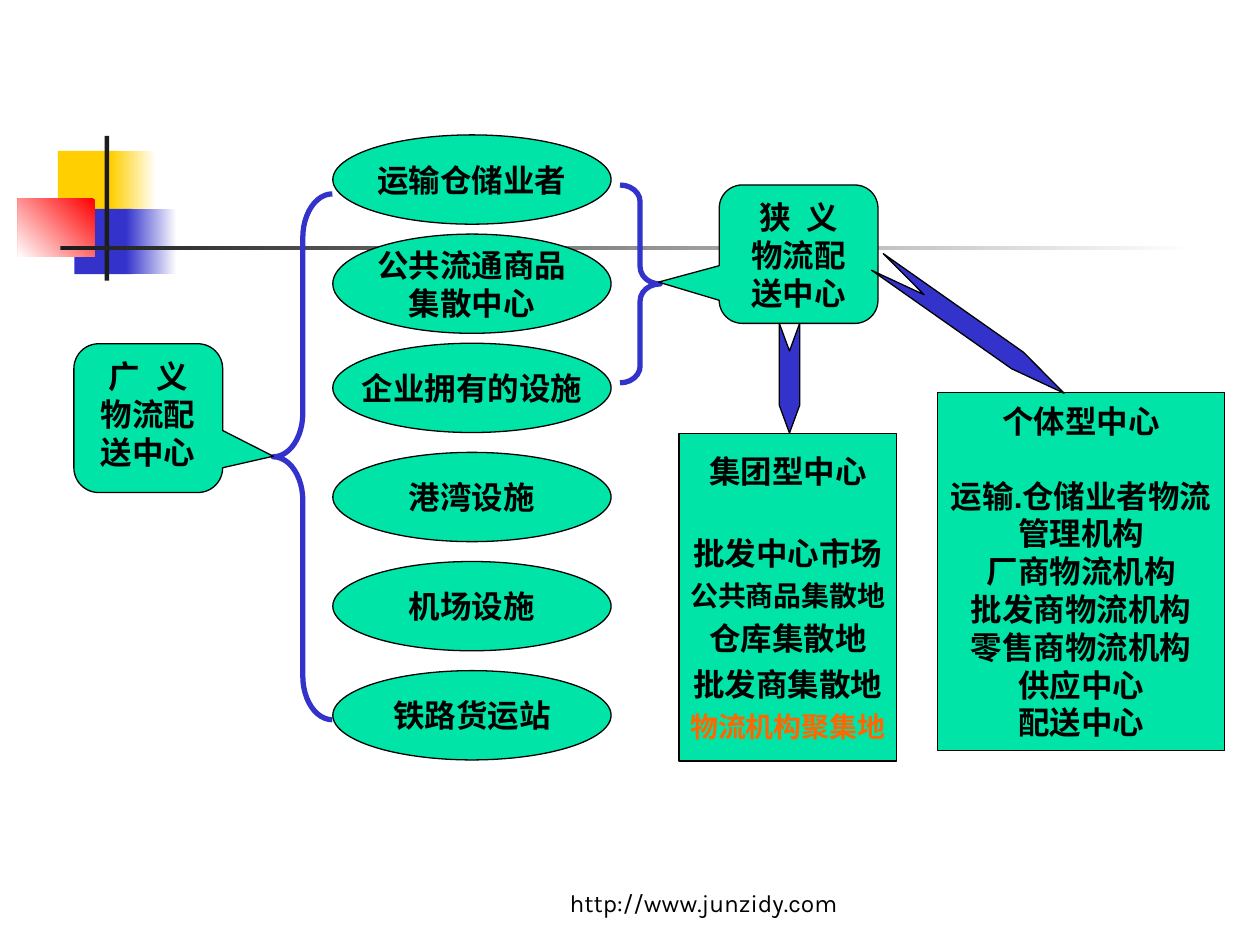
from dataclasses import dataclass

from pptx import Presentation
from pptx.dml.color import RGBColor
from pptx.enum.shapes import MSO_SHAPE
from pptx.enum.text import MSO_ANCHOR, PP_ALIGN
from pptx.util import Cm, Pt


@dataclass(frozen=True)
class Theme:
    mint: str = "00E4A8"
    indigo: str = "3333CC"
    yellow: str = "FFCF01"
    red: str = "FF0000"
    charcoal: str = "1C1C1C"
    orange: str = "FF6600"
    black: str = "000000"
    white: str = "FFFFFF"
    font: str = "Arial"
    footer_font: str = "Karla"
    body: int = 18
    small: int = 16
    footer: int = 14
    outline: float = 0.75
    brace: int = 3
    heading_gap: int = 21


@dataclass(frozen=True)
class Box:
    """Position and size in centimetres."""
    left: float
    top: float
    width: float
    height: float

    def inner(self, dx, dy, width, height):
        return Box(self.left + dx, self.top + dy, width, height)

    def lengths(self):
        return [Cm(v) for v in (self.left, self.top, self.width, self.height)]


THEME = Theme()


def rgb(color):
    return RGBColor.from_string(color)


def add_part(slide, preset, box, fill=None, line=None, line_width=THEME.outline,
             adjust=(), rotation=0):
    part = slide.shapes.add_shape(preset, *box.lengths())
    part.shadow.inherit = False
    part.rotation = rotation
    for index, value in enumerate(adjust):
        part.adjustments[index] = value
    if fill:
        part.fill.solid()
        part.fill.fore_color.rgb = rgb(fill)
    else:
        part.fill.background()
    if line:
        part.line.color.rgb = rgb(line)
        part.line.width = Pt(line_width)
    else:
        part.line.fill.background()
    return part


def add_fade(slide, box, start, end, angle=0):
    fade = add_part(slide, MSO_SHAPE.RECTANGLE, box)
    fade.fill.gradient()
    fade.fill.gradient_angle = angle
    for stop, color in zip(fade.fill.gradient_stops, (start, end)):
        stop.color.rgb = rgb(color)


def write_lines(part, lines, wrap=False, anchor=MSO_ANCHOR.MIDDLE):
    """Fill a part with centred lines, each a (text, format values) pair."""
    frame = part.text_frame
    frame.word_wrap = wrap
    frame.vertical_anchor = anchor
    for index, (text, values) in enumerate(lines):
        paragraph = frame.paragraphs[0] if index == 0 else frame.add_paragraph()
        paragraph.alignment = PP_ALIGN.CENTER
        for name in ("line_spacing", "space_before"):
            if name in values:
                setattr(paragraph, name, values[name])
        run = paragraph.add_run()
        run.text = text
        font_format = {
            "name": values.get("font", THEME.font),
            "size": Pt(values.get("size", THEME.body)),
            "bold": values.get("bold", True),
        }
        for name, value in font_format.items():
            setattr(run.font, name, value)
        run.font.color.rgb = rgb(values.get("color", THEME.black))
        if "tracking" in values:
            run._r.get_or_add_rPr().set("spc", str(values["tracking"]))


def add_ornament(slide, box):
    """Coloured squares with a crossing bar and a fading rule."""
    t = THEME
    add_part(slide, MSO_SHAPE.RECTANGLE, box.inner(0.81, 0.3, 1.22, 1.32), t.yellow)
    add_fade(slide, box.inner(1.88, 0.3, 0.91, 1.32), t.yellow, t.white)
    add_part(slide, MSO_SHAPE.RECTANGLE, box.inner(1.14, 1.47, 1.17, 1.32), t.indigo)
    add_fade(slide, box.inner(2.18, 1.47, 1.02, 1.32), t.indigo, t.white)
    add_fade(slide, box.inner(0, 1.27, 1.55, 1.17), t.red, t.white, 225)
    add_part(slide, MSO_SHAPE.RECTANGLE, box.inner(1.75, 0, 0.09, box.height), t.charcoal)
    add_fade(slide, box.inner(0.86, 2.21, box.width - 0.86, 0.1), t.charcoal, t.white)


def add_definition(slide, box, scope, pointer):
    callout = add_part(slide, MSO_SHAPE.ROUNDED_RECTANGULAR_CALLOUT, box,
                       THEME.mint, THEME.black, adjust=(*pointer, 0.167))
    write_lines(callout, [(scope, {"tracking": 250}), ("物流配送中心", {})],
                wrap=True, anchor=MSO_ANCHOR.TOP)


def add_brace(slide, preset, box, curl):
    add_part(slide, preset, box, line=THEME.indigo, line_width=THEME.brace,
             adjust=(curl, 0.5))


def add_facilities(slide, box):
    """Column of ellipses; the two-line one grows upwards into its gap."""
    facilities = [["运输仓储业者"], ["公共流通商品", "集散中心"], ["企业拥有的设施"],
                  ["港湾设施"], ["机场设施"], ["铁路货运站"]]
    pitch, height, extra = 2.2, 1.8, 0.2
    for index, lines in enumerate(facilities):
        dy = index * pitch - (extra if index else 0)
        tall = extra if len(lines) > 1 else 0
        ellipse = add_part(slide, MSO_SHAPE.OVAL,
                           box.inner(0, dy, box.width, height + tall),
                           THEME.mint, THEME.black)
        write_lines(ellipse, [(line, {}) for line in lines])


def add_panel(slide, box, heading, members, line_spacing=1.0):
    panel = add_part(slide, MSO_SHAPE.RECTANGLE, box, THEME.mint, THEME.black)
    lines = [(heading, {})]
    for index, (text, values) in enumerate(members):
        gap = {"space_before": Pt(THEME.heading_gap)} if index == 0 else {}
        lines.append((text, {"line_spacing": line_spacing, **gap, **values}))
    write_lines(panel, lines)


def add_arrow(slide, box, rotation, head):
    add_part(slide, MSO_SHAPE.NOTCHED_RIGHT_ARROW, box, THEME.indigo, THEME.black,
             adjust=(1.0, head), rotation=rotation)


def add_footer(slide, box):
    address = slide.shapes.add_textbox(*box.lengths())
    write_lines(address, [("http://www.junzidy.com", {
        "font": THEME.footer_font, "size": THEME.footer, "bold": False})],
        wrap=True, anchor=MSO_ANCHOR.BOTTOM)


def main():
    deck = Presentation()
    deck.slide_width, deck.slide_height = Cm(25.4), Cm(19.05)
    slide = deck.slides.add_slide(deck.slide_layouts[6])

    add_ornament(slide, Box(0.36, 2.74, 23.72, 2.92))
    add_brace(slide, MSO_SHAPE.LEFT_BRACE, Box(5.51, 3.91, 1.19, 10.6), 0.74)
    add_definition(slide, Box(1.49, 6.93, 3, 3), "广 义", (0.84, 0.256))
    add_facilities(slide, Box(6.71, 2.72, 5.61, 12.6))
    add_brace(slide, MSO_SHAPE.RIGHT_BRACE, Box(12.5, 3.73, 0.81, 3.99), 0.42)
    add_definition(slide, Box(14.5, 3.73, 3.2, 2.79), "狭 义", (-0.883, 0.202))

    add_panel(slide, Box(13.69, 8.74, 4.39, 6.6), "集团型中心", [
        ("批发中心市场", {}),
        ("公共商品集散地", {"size": THEME.small}),
        ("仓库集散地", {}),
        ("批发商集散地", {}),
        ("物流机构聚集地", {"size": THEME.small, "color": THEME.orange}),
    ], line_spacing=1.2)
    individual = ["运输.仓储业者物流", "管理机构", "厂商物流机构", "批发商物流机构",
                  "零售商物流机构", "供应中心", "配送中心"]
    add_panel(slide, Box(18.9, 7.92, 5.79, 7.21), "个体型中心",
              [(text, {}) for text in individual])

    add_arrow(slide, Box(14.81, 7.42, 2.21, 0.41), 90, 1.36)
    add_arrow(slide, Box(17.27, 6.4, 4.6, 0.41), 35.1, 2.8)
    add_footer(slide, Box(10.16, 17.35, 8.05, 1.27))
    deck.save("out.pptx")


if __name__ == "__main__":
    main()
